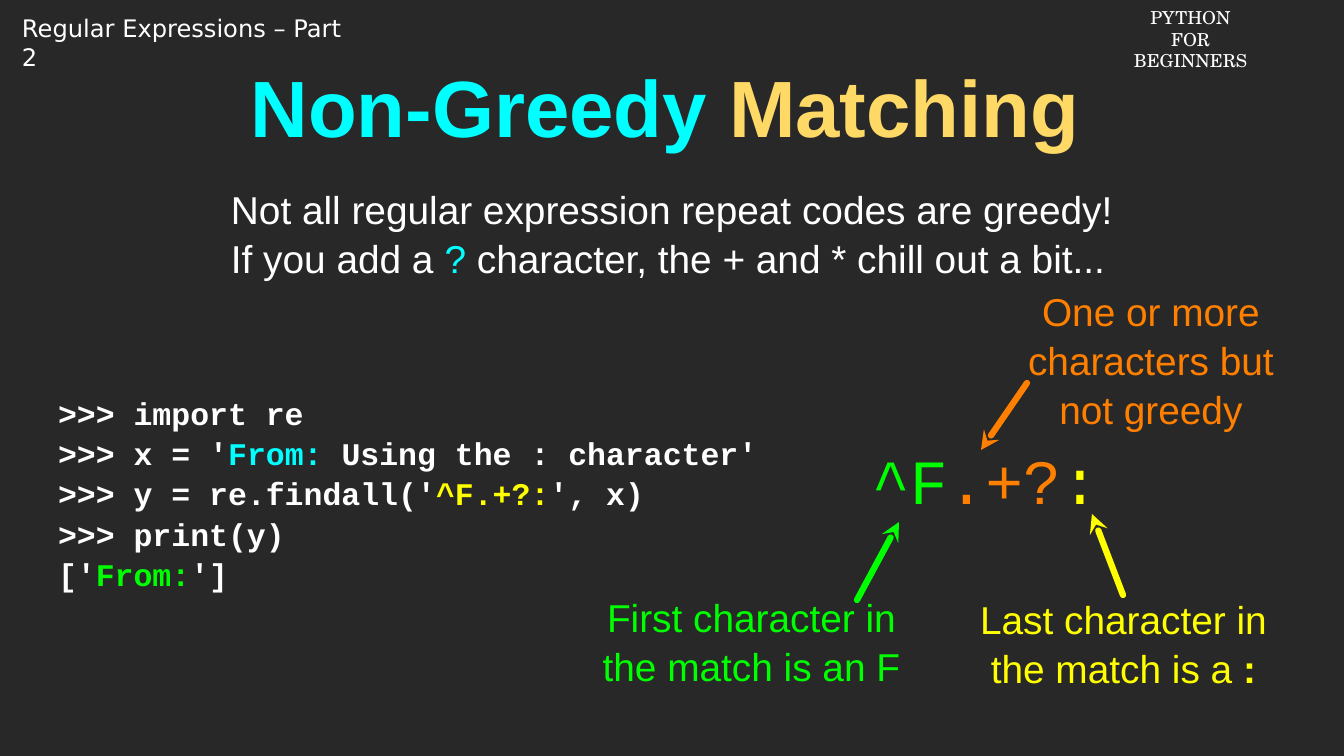
from dataclasses import dataclass
from lxml import etree
from pptx import Presentation, util as u
from pptx.dml.color import RGBColor
from pptx.enum import shapes, text
from pptx.oxml.ns import qn

SCALE = 914400 / 75.6  # EMU in one px


@dataclass(frozen=True)
class Theme:
    back: str = "282828"
    white: str = "FFFFFF"
    cyan: str = "00FFFF"
    gold: str = "FFD966"
    lime: str = "00FF00"
    orange: str = "FF7F00"
    yellow: str = "FFFF00"
    sans: str = "Arial"
    mono: str = "Courier New"
    head: str = "DejaVu Sans"
    serif: str = "TeX Gyre Schola"
    title: int = 76
    regex: int = 60
    body: int = 37
    code: int = 30
    topic: int = 23
    course: int = 17
    stroke: int = 6


T = Theme()


def px(n):
    return u.Emu(round(n * SCALE))


def add_text(slide, box, paras, font, size, bold=False, center=False,
             middle=True, pads=(0, 0, 0, 0), gap=None):
    """Each paragraph is a list of (words, colour) runs."""
    frame = slide.shapes.add_textbox(*map(px, box)).text_frame
    frame.word_wrap = True
    frame.vertical_anchor = text.MSO_ANCHOR.MIDDLE if middle else text.MSO_ANCHOR.TOP
    (frame.margin_left, frame.margin_top,
     frame.margin_right, frame.margin_bottom) = map(px, pads)
    for i, runs in enumerate(paras):
        para = frame.paragraphs[0] if i == 0 else frame.add_paragraph()
        para.alignment = text.PP_ALIGN.CENTER if center else text.PP_ALIGN.LEFT
        if gap:
            para.line_spacing = gap
        for words, color in runs:
            run = para.add_run()
            run.text = words
            run.font.name = font
            run.font.size = u.Pt(size)
            run.font.bold = bold
            run.font.color.rgb = RGBColor.from_string(color)
    return frame


def add_note(slide, box, runs):
    return add_text(slide, box, [runs], T.sans, T.body, center=True, gap=1.05)


def add_arrow(slide, tip, tail, color):
    line = slide.shapes.add_connector(
        shapes.MSO_CONNECTOR.STRAIGHT, *map(px, tip + tail))
    line.line.color.rgb = RGBColor.from_string(color)
    line.line.width = u.Pt(T.stroke)
    # Round ends, arrowhead at the tip, no shadow
    props = line._element.spPr
    ln = props.find(qn("a:ln"))
    ln.set("cap", "rnd")
    etree.SubElement(ln, qn("a:round"))
    etree.SubElement(ln, qn("a:headEnd"), type="stealth")
    etree.SubElement(props, qn("a:effectLst"))


def main():
    deck = Presentation()
    deck.slide_width, deck.slide_height = px(1344), px(756)
    slide = deck.slides.add_slide(deck.slide_layouts[6])
    fill = slide.background.fill
    fill.solid()
    fill.fore_color.rgb = RGBColor.from_string(T.back)

    # Header
    add_text(slide, (14, 9, 351, 37), [[("Regular Expressions – Part 2", T.white)]],
             T.head, T.topic, middle=False, pads=(8, 4, 8, 4))
    add_text(slide, (1125, 3, 131, 51),
             [[("PYTHON FOR", T.white)], [("BEGINNERS", T.white)]],
             T.serif, T.course, center=True, middle=False, pads=(6, 4, 6, 4))

    # Title and body
    add_text(slide, (45, 54, 1240, 103),
             [[("Non-Greedy", T.cyan), (" Matching", T.gold)]],
             T.sans, T.title, bold=True, center=True, pads=(3, 3, 3, 3))
    add_text(slide, (197, 180, 936, 126),
             [[("Not all regular expression repeat codes are greedy! If you add a ", T.white),
               ("?", T.cyan),
               (" character, the + and * chill out a bit...", T.white)]],
             T.sans, T.body, middle=False, pads=(34, 3, 3, 3), gap=1.05)

    # Python session
    add_text(slide, (58, 380, 829, 224), [
        [(">>> import re", T.white)],
        [(">>> x = '", T.white), ("From: ", T.cyan),
         ("Using the : character'", T.white)],
        [(">>> y = re.findall('", T.white), ("^F.+?:", T.yellow),
         ("', x)", T.white)],
        [(">>> print(y)", T.white)],
        [("['", T.white), ("From:", T.lime), ("']", T.white)],
    ], T.mono, T.code, bold=True, gap=1.07)

    # Pattern with its three notes
    add_text(slide, (872, 437, 245, 85),
             [[("^F", T.lime), (".+?", T.orange), (":", T.yellow)]],
             T.mono, T.regex)
    add_note(slide, (1017, 290, 268, 138),
             [("One or more characters but not greedy", T.orange)])
    add_note(slide, (579, 593, 345, 95),
             [("First character in the match is an F", T.lime)])
    last = add_note(slide, (951, 595, 345, 95),
                    [("Last character in the match is a ", T.yellow),
                     (":", T.yellow)])
    last.paragraphs[0].runs[-1].font.bold = True

    # Arrows from notes to pattern
    add_arrow(slide, (981, 450), (1027, 383), T.orange)
    add_arrow(slide, (899, 522), (857, 600), T.lime)
    add_arrow(slide, (1092, 514), (1123, 595), T.yellow)

    deck.save("out.pptx")


if __name__ == "__main__":
    main()
